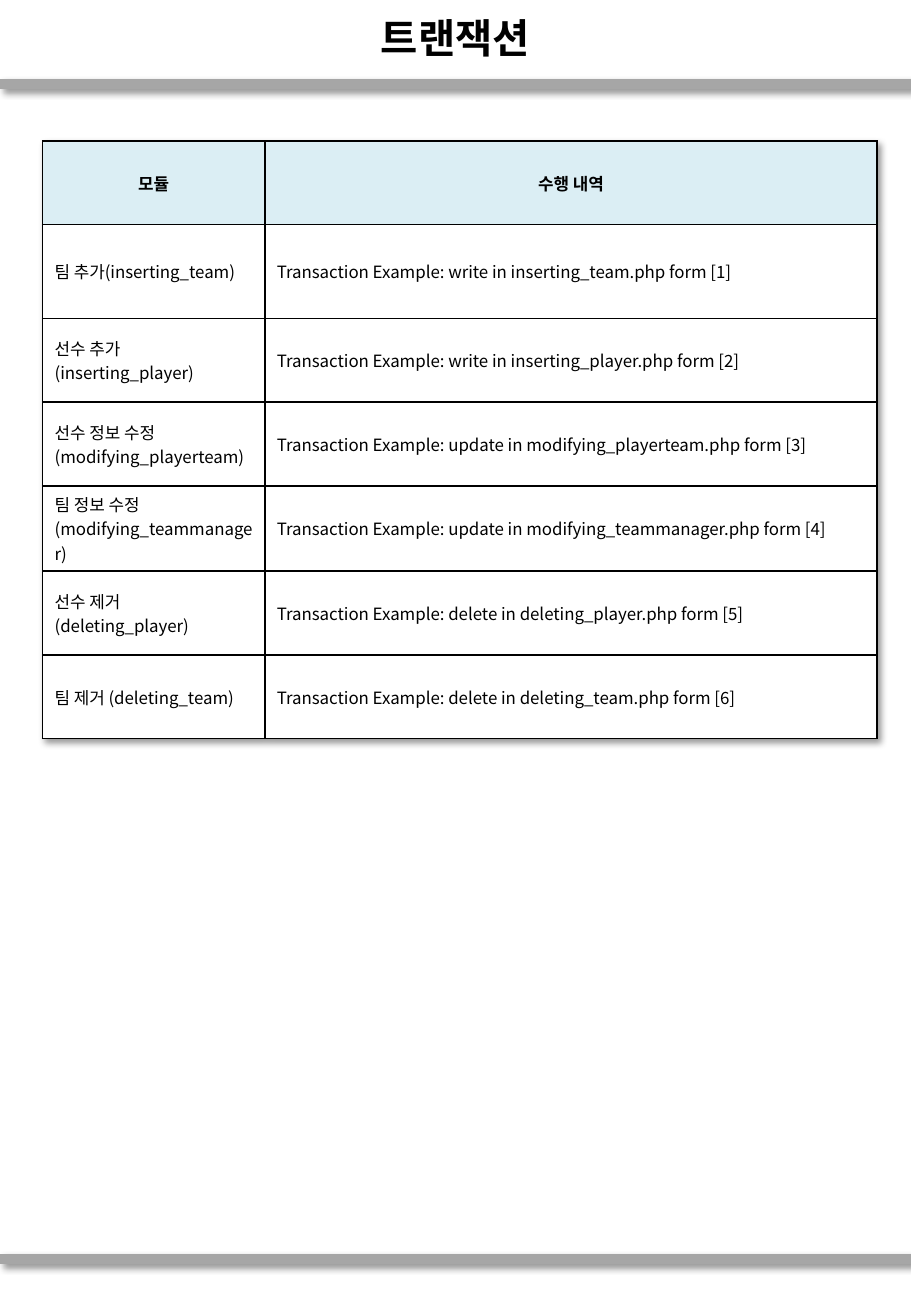
from lxml import etree
from pptx import Presentation
from pptx import util as u
from pptx.dml.color import RGBColor
from pptx.enum import shapes, text
from pptx.oxml import parse_xml
from pptx.oxml.ns import nsdecls, qn

COLORS = {"ink": "000000", "rule": "A6A6A6", "header": "DBEEF4", "body": "FFFFFF"}
TITLE_FONT, TABLE_FONT = "Arial", "Noto Sans CJK KR"
COLUMN_WIDTHS = [1.83, 5.04]
ROW_HEIGHTS = [0.69, 0.77] + [0.69] * 5
HEADERS = ("모듈", "수행 내역")
MODULES = [
    ("팀 추가(inserting_team)", "write in inserting_team.php"),
    ("선수 추가(inserting_player)", "write in inserting_player.php"),
    ("선수 정보 수정\n(modifying_playerteam)", "update in modifying_playerteam.php"),
    ("팀 정보 수정\n(modifying_teammanager)", "update in modifying_teammanager.php"),
    ("선수 제거(deleting_player)", "delete in deleting_player.php"),
    ("팀 제거 (deleting_team)", "delete in deleting_team.php"),
]


def color(name):
    return RGBColor.from_string(COLORS[name])


def shadow_effect():
    """Return a soft shadow that falls down and to the right."""
    return parse_xml(
        f'<a:effectLst {nsdecls("a")}>'
        f'<a:outerShdw blurRad="{u.Pt(4)}" dist="{u.Pt(3)}" dir="{45 * 60000}"'
        ' algn="tl" rotWithShape="0">'
        f'<a:srgbClr val="{COLORS["ink"]}"><a:alpha val="40000"/></a:srgbClr>'
        '</a:outerShdw></a:effectLst>')


def format_text(frame, font_name, size, bold, align):
    for para in frame.paragraphs:
        para.alignment = align
        for span in para.runs:
            span.font.name = font_name
            span.font.size = u.Pt(size)
            span.font.bold = bold
            span.font.color.rgb = color("ink")
            east_asian = etree.Element(qn("a:ea"), typeface=font_name)
            span.font._element.find(qn("a:latin")).addnext(east_asian)


def add_title(slide, left, top, width, height):
    title = slide.shapes.title
    title.left, title.top, title.width, title.height = map(
        u.Inches, (left, top, width, height))
    frame = title.text_frame
    frame.text = "트랜잭션"
    frame.auto_size = text.MSO_AUTO_SIZE.NONE
    frame.vertical_anchor = text.MSO_ANCHOR.MIDDLE
    format_text(frame, TITLE_FONT, 24, True, text.PP_ALIGN.CENTER)


def add_rule(slide, left, top, width):
    rule = slide.shapes.add_connector(
        shapes.MSO_CONNECTOR.STRAIGHT, u.Inches(left), u.Inches(top),
        u.Inches(left + width), u.Inches(top))
    rule.line.color.rgb = color("rule")
    rule.line.width = u.Pt(6)
    rule._element.spPr.append(shadow_effect())


def add_borders(cell):
    properties = cell._tc.get_or_add_tcPr()
    for index, side in enumerate(("lnL", "lnR", "lnT", "lnB")):
        properties.insert(index, parse_xml(
            f'<a:{side} {nsdecls("a")} w="{u.Pt(1)}"><a:solidFill>'
            f'<a:srgbClr val="{COLORS["ink"]}"/></a:solidFill></a:{side}>'))


def fill_cell(cell, wording, is_header):
    cell.text = wording
    cell.vertical_anchor = text.MSO_ANCHOR.MIDDLE
    cell.fill.solid()
    cell.fill.fore_color.rgb = color("header" if is_header else "body")
    align = text.PP_ALIGN.CENTER if is_header else text.PP_ALIGN.LEFT
    format_text(cell.text_frame, TABLE_FONT, 10, is_header, align)
    add_borders(cell)


def add_module_table(slide, left, top):
    rows = [HEADERS] + [
        (module, f"Transaction Example: {action} form [{number}]")
        for number, (module, action) in enumerate(MODULES, 1)]
    table = slide.shapes.add_table(
        len(rows), len(HEADERS), u.Inches(left), u.Inches(top),
        u.Inches(sum(COLUMN_WIDTHS)), u.Inches(sum(ROW_HEIGHTS))).table
    table.horz_banding = False
    table._tbl.tblPr.insert(0, shadow_effect())
    for column, width in zip(table.columns, COLUMN_WIDTHS):
        column.width = u.Inches(width)
    for row, height, wordings in zip(table.rows, ROW_HEIGHTS, rows):
        row.height = u.Inches(height)
        for cell, wording in zip(row.cells, wordings):
            fill_cell(cell, wording, wordings is HEADERS)


def main():
    deck = Presentation()
    deck.slide_width, deck.slide_height = u.Inches(7.5), u.Inches(10.83)
    slide = deck.slides.add_slide(deck.slide_layouts.get_by_name("Title Only"))
    for top in (0.69, 10.36):
        add_rule(slide, 0, top, 7.5)
    add_title(slide, 0, 0.01, 7.5, 0.6)
    add_module_table(slide, 0.35, 1.16)
    deck.save("out.pptx")


if __name__ == "__main__":
    main()
